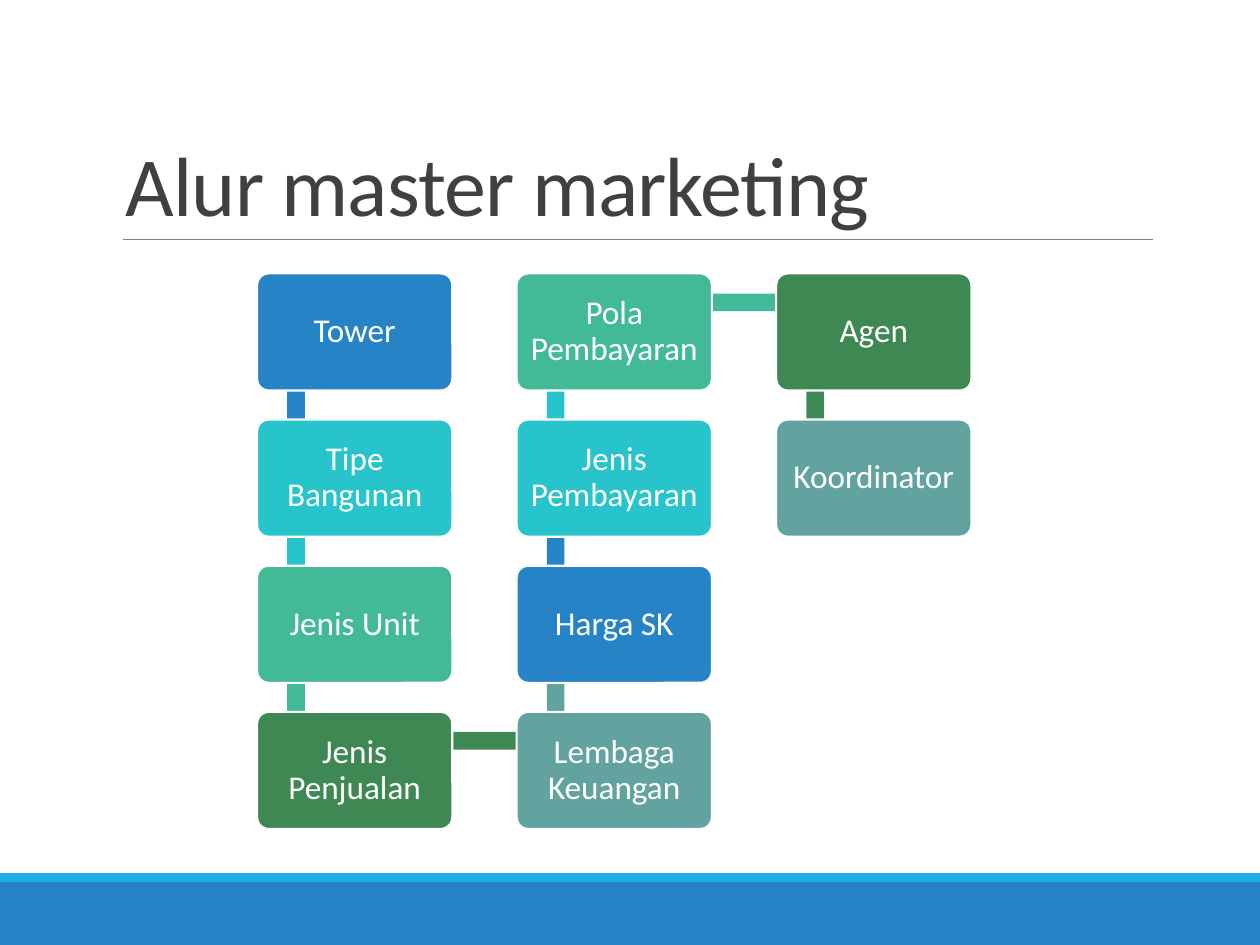
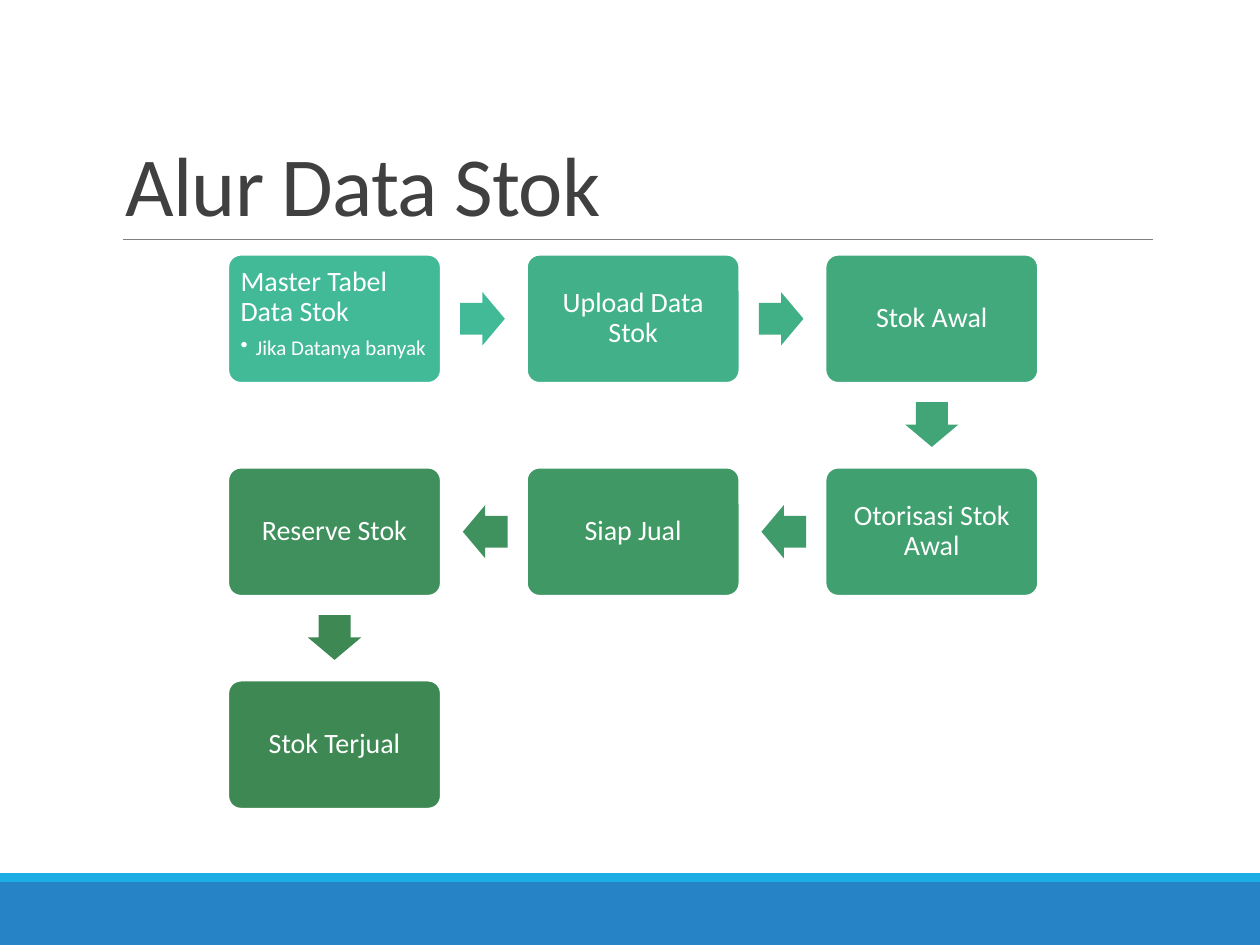
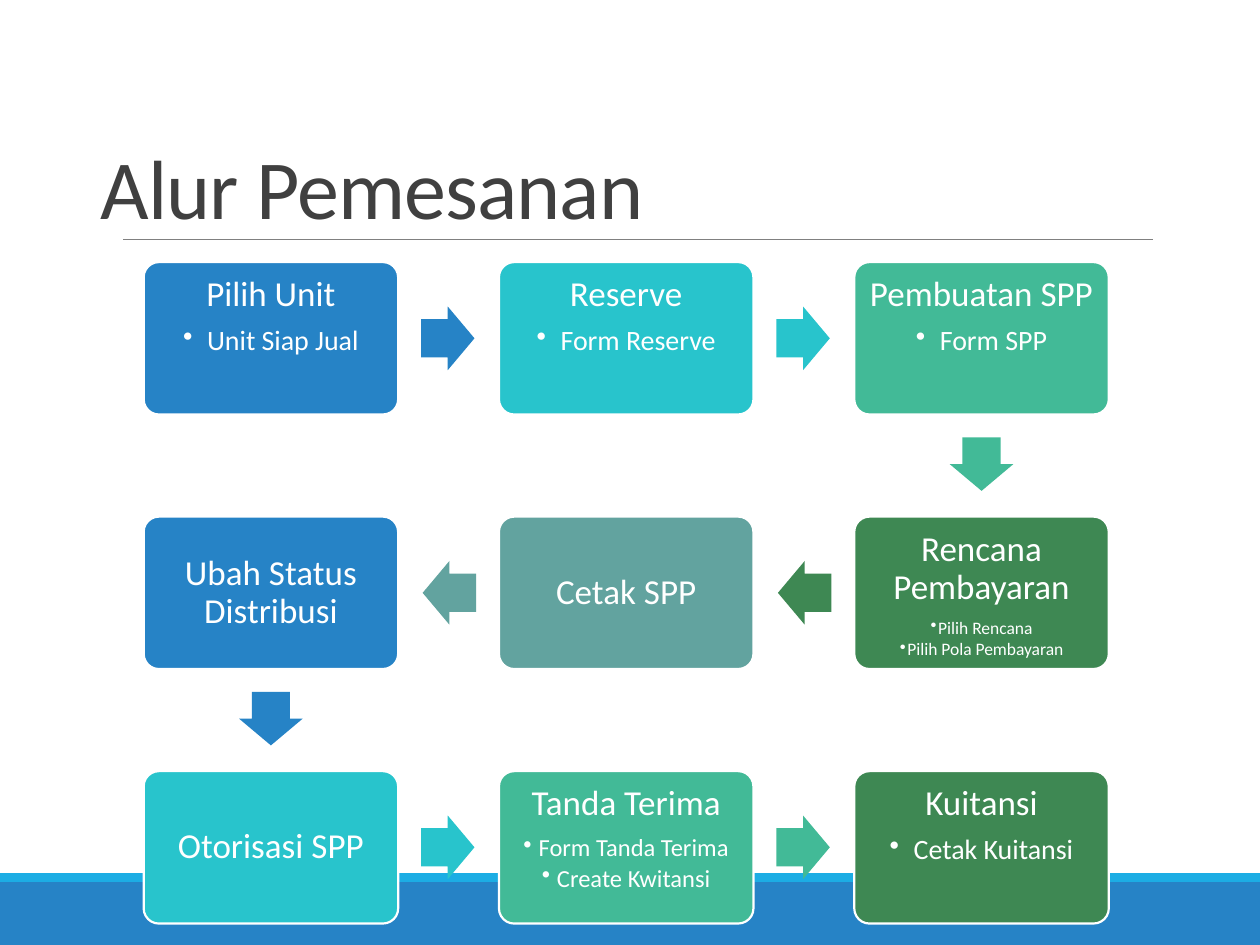
from dataclasses import dataclass
from itertools import cycle, islice

from lxml.etree import SubElement
from pptx import Presentation
from pptx.dml.color import RGBColor
from pptx.enum.shapes import MSO_CONNECTOR, MSO_SHAPE
from pptx.enum.text import MSO_ANCHOR, PP_ALIGN
from pptx.oxml.ns import qn
from pptx.util import Inches, Pt


@dataclass(frozen=True)
class Theme:
    font: str = "Calibri"
    title_size: int = 48
    title: str = "404040"
    rule: str = "808080"
    white: str = "FFFFFF"
    band: str = "2683C6"
    stripe: str = "1CADE4"
    accents: tuple = ("2683C6", "28C4CC", "42BA97", "3E8853", "62A39F")
    stock_steps: tuple = ("42BA97", "42B189", "41A97C", "41A070", "409865", "3F905C", "3E8853")
    stock_arrows: tuple = ("42BA97", "42B086", "41A577", "409B6A", "3F925E", "3E8853")


@dataclass(frozen=True)
class Grid:
    left: float
    top: float
    pitch_x: float
    pitch_y: float
    width: float
    height: float
    size: int
    inset: float

    def corner(self, column, row):
        return self.left + column * self.pitch_x, self.top + row * self.pitch_y


@dataclass(frozen=True)
class Step:
    heading: str
    details: tuple = ()
    detail_size: int = 16
    align: PP_ALIGN = PP_ALIGN.CENTER


THEME = Theme()
BULLET_INDENT = {10: 0.06, 12: 0.12, 14: 0.12, 16: 0.19}

MASTER_GRID = Grid(2.04, 2.17, 2.06, 1.16, 1.55, 0.93, 19, 0.07)
STOCK_GRID = Grid(1.81, 2.02, 2.37, 1.69, 1.69, 1.02, 16, 0.07)
ORDER_GRID = Grid(1.14, 2.08, 2.82, 2.02, 2.02, 1.21, 20, 0.08)

MASTER_STEPS = [Step(heading) for heading in (
    "Tower", "Tipe Bangunan", "Jenis Unit", "Jenis Penjualan", "Lembaga Keuangan",
    "Harga SK", "Jenis Pembayaran", "Pola Pembayaran", "Agen", "Koordinator")]
STOCK_STEPS = [
    Step("Master Tabel Data Stok", ("Jika Datanya banyak",), 12, PP_ALIGN.LEFT),
    Step("Upload Data Stok"),
    Step("Stok Awal"),
    Step("Otorisasi Stok Awal"),
    Step("Siap Jual"),
    Step("Reserve Stok"),
    Step("Stok Terjual"),
]
ORDER_STEPS = [
    Step("Pilih Unit", ("Unit Siap Jual",)),
    Step("Reserve", ("Form Reserve",)),
    Step("Pembuatan SPP", ("Form SPP",)),
    Step("Rencana Pembayaran", ("Pilih Rencana", "Pilih Pola Pembayaran"), 10),
    Step("Cetak SPP"),
    Step("Ubah Status Distribusi"),
    Step("Otorisasi SPP"),
    Step("Tanda Terima", ("Form Tanda Terima", "Create Kwitansi"), 14),
    Step("Kuitansi", ("Cetak Kuitansi",)),
]


def rgb(color):
    return RGBColor.from_string(color)


def add_block(slide, kind, left, top, width, height, color, outline=None):
    block = slide.shapes.add_shape(kind, Inches(left), Inches(top), Inches(width), Inches(height))
    block.shadow.inherit = False
    block.fill.solid()
    block.fill.fore_color.rgb = rgb(color)
    if outline:
        block.line.color.rgb = rgb(outline)
        block.line.width = Pt(1.25)
    else:
        block.line.fill.background()
    return block


def style_paragraph(paragraph, size, color, spacing):
    paragraph.line_spacing = spacing
    for run in paragraph.runs:
        run.font.name = THEME.font
        run.font.size = Pt(size)
        run.font.color.rgb = rgb(color)


def add_bullet(paragraph, indent):
    properties = paragraph._p.get_or_add_pPr()
    properties.set("marL", str(Inches(indent)))
    properties.set("indent", str(-Inches(indent)))
    SubElement(properties, qn("a:buChar")).set("char", "•")


def add_title(slide, title, left, top, width, height):
    heading = slide.shapes.add_textbox(Inches(left), Inches(top), Inches(width), Inches(height))
    frame = heading.text_frame
    frame.word_wrap = True
    frame.vertical_anchor = MSO_ANCHOR.BOTTOM
    frame.text = title
    style_paragraph(frame.paragraphs[0], THEME.title_size, THEME.title, 0.85)
    frame.paragraphs[0].runs[0].font._element.set("spc", "-50")


def add_page(deck, title, title_area=(0.9, 0.31, 8.25, 1.59)):
    slide = deck.slides.add_slide(deck.slide_layouts[6])
    add_block(slide, MSO_SHAPE.RECTANGLE, 0, 7, 10, 0.5, THEME.band)
    add_block(slide, MSO_SHAPE.RECTANGLE, 0, 6.93, 10, 0.07, THEME.stripe)
    rule = slide.shapes.add_connector(
        MSO_CONNECTOR.STRAIGHT, Inches(0.98), Inches(1.9), Inches(9.15), Inches(1.9))
    rule.line.color.rgb = rgb(THEME.rule)
    rule.line.width = Pt(0.5)
    SubElement(rule._element.spPr, qn("a:effectLst"))
    add_title(slide, title, *title_area)
    return slide


def add_step(slide, grid, cell, step, color):
    card = add_block(slide, MSO_SHAPE.ROUNDED_RECTANGLE, *grid.corner(*cell),
                     grid.width, grid.height, color, THEME.white)
    card.adjustments[0] = 0.1
    frame = card.text_frame
    frame.word_wrap = True
    frame.vertical_anchor = MSO_ANCHOR.TOP if step.details else MSO_ANCHOR.MIDDLE
    frame.margin_left = frame.margin_right = Inches(grid.inset)
    frame.margin_top = frame.margin_bottom = Inches(grid.inset)
    frame.text = "\n".join((step.heading, *step.details))
    for index, paragraph in enumerate(frame.paragraphs):
        size = step.detail_size if index else grid.size
        paragraph.alignment = step.align
        style_paragraph(paragraph, size, THEME.white, 0.9)
        if index:
            paragraph.level = 1
            paragraph.space_after = Pt(round(0.15 * size, 1))
            add_bullet(paragraph, BULLET_INDENT[size])
        elif step.details:
            paragraph.space_after = Pt(round(0.35 * size, 1))


def add_bar(slide, grid, cell, following, color):
    left, top = grid.corner(min(cell[0], following[0]), min(cell[1], following[1]))
    thickness = 0.14
    if cell[0] == following[0]:
        area = left + 0.24, top + 0.23, thickness, grid.pitch_y
    else:
        area = left + 0.31, top + 0.16, grid.pitch_x, thickness
    add_block(slide, MSO_SHAPE.RECTANGLE, *area, color)


def add_arrow(slide, grid, cell, following, color):
    across, down = following[0] - cell[0], following[1] - cell[1]
    length, thickness = 0.21 * grid.width, 0.25 * grid.width
    reach = 0.09 * grid.width + length / 2
    left, top = grid.corner(*cell)
    center_x = left + grid.width / 2 + across * (grid.width / 2 + reach)
    center_y = top + grid.height / 2 + down * (grid.height / 2 + reach)
    arrow = add_block(slide, MSO_SHAPE.RIGHT_ARROW, center_x - length / 2,
                      center_y - thickness / 2, length, thickness, color)
    arrow.adjustments[0] = 0.6
    arrow.adjustments[1] = 0.5
    arrow.rotation = 90 if down else 0 if across > 0 else 180


def snake(count, lane_length):
    for index in range(count):
        lane, place = divmod(index, lane_length)
        yield lane, lane_length - 1 - place if lane % 2 else place


def add_flow(slide, grid, steps, cells, add_link, step_colors, link_colors):
    for index, (step, cell) in enumerate(zip(steps, cells)):
        if index + 1 < len(steps):
            add_link(slide, grid, cell, cells[index + 1], link_colors[index])
        add_step(slide, grid, cell, step, step_colors[index])


def main():
    deck = Presentation()
    deck.slide_width, deck.slide_height = Inches(10), Inches(7.5)
    accents = list(islice(cycle(THEME.accents), len(MASTER_STEPS)))

    master = add_page(deck, "Alur master marketing")
    column_cells = list(snake(len(MASTER_STEPS), 4))
    add_flow(master, MASTER_GRID, MASTER_STEPS, column_cells, add_bar, accents, accents)

    row_cells = [(place, lane) for lane, place in snake(len(ORDER_STEPS), 3)]
    stock = add_page(deck, "Alur Data Stok")
    add_flow(stock, STOCK_GRID, STOCK_STEPS, row_cells, add_arrow,
             THEME.stock_steps, THEME.stock_arrows)

    order = add_page(deck, "Alur Pemesanan", (0.7, 0.67, 8.53, 1.26))
    add_flow(order, ORDER_GRID, ORDER_STEPS, row_cells, add_arrow, accents, accents)

    deck.save("out.pptx")


if __name__ == "__main__":
    main()
